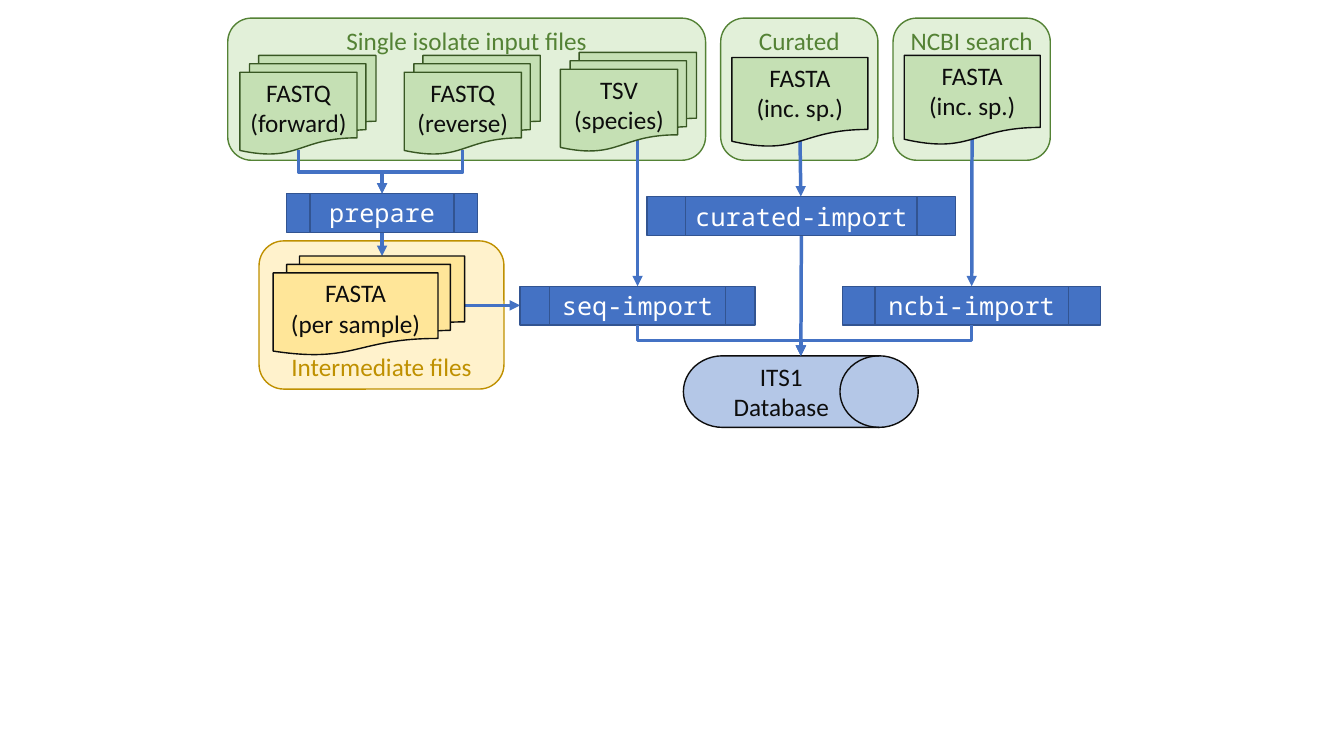
"""Draw the flow from input files through import commands to the ITS1 database."""
from dataclasses import dataclass

from lxml import etree
from pptx import Presentation
from pptx.dml.color import RGBColor
from pptx.enum.shapes import MSO_CONNECTOR, MSO_SHAPE
from pptx.enum.text import MSO_ANCHOR, PP_ALIGN
from pptx.oxml.ns import qn
from pptx.shapes.connector import Connector
from pptx.slide import Slide
from pptx.util import Inches, Pt

PANEL = MSO_SHAPE.ROUNDED_RECTANGLE
STACK = MSO_SHAPE.FLOWCHART_MULTIDOCUMENT
DOCUMENT = MSO_SHAPE.FLOWCHART_DOCUMENT
PROCESS = MSO_SHAPE.FLOWCHART_PREDEFINED_PROCESS
DRUM = MSO_SHAPE.FLOWCHART_DIRECT_ACCESS_STORAGE
STRAIGHT, ELBOW = MSO_CONNECTOR.STRAIGHT, MSO_CONNECTOR.ELBOW
TOP, MIDDLE, BOTTOM = MSO_ANCHOR.TOP, MSO_ANCHOR.MIDDLE, MSO_ANCHOR.BOTTOM
CENTER = PP_ALIGN.CENTER

CELL = Inches(0.1)
COLUMNS, ROWS = 133.33, 75
FRONT_SHEET = 0.43
QUARTER_TURN, THREE_QUARTER_TURN = "5400000", "16200000"


@dataclass(frozen=True)
class Theme:
    """Colours, fonts and sizes."""
    flow: str = "4472C4"
    body: str = "Calibri"
    code: str = "Noto Sans Mono"
    text_size: float = 18
    outline: float = 1
    flow_width: float = 2.5


THEME = Theme()


@dataclass(frozen=True)
class Style:
    """Look shared by nodes of one role."""
    fill: str
    line: str
    ink: str
    font: str = THEME.body
    anchor: MSO_ANCHOR = TOP
    wrap: bool = True
    top_inset: float = 0.5
    bottom_inset: float = 0.5


INPUT_PANEL = Style("E2F0D9", "548235", "548235", top_inset=0)
WORK_PANEL = Style("FFF2CC", "BF9000", "BF9000", anchor=BOTTOM, bottom_inset=0)
INPUT_STACK = Style("C5E0B4", "385723", "0D0D0D")
INPUT_SHEET = Style("C5E0B4", "0D0D0D", "0D0D0D")
WORK_STACK = Style("FFE699", "0D0D0D", "0D0D0D")
COMMAND = Style(THEME.flow, "325491", "FFFFFF", THEME.code, MIDDLE, wrap=False)
STORE = Style("B4C7E7", "0D0D0D", "0D0D0D", anchor=MIDDLE)


@dataclass(frozen=True)
class Node:
    """A labelled shape placed in grid columns and rows."""
    label: str
    kind: MSO_SHAPE
    style: Style
    left: float
    top: float
    width: float
    height: float

    @property
    def center(self) -> float:
        """Column of the middle."""
        return self.left + self.width / 2

    @property
    def front(self) -> float:
        """Column of the middle of a stack's front sheet."""
        return self.left + self.width * FRONT_SHEET

    @property
    def right(self) -> float:
        """Column of the right edge."""
        return self.left + self.width

    @property
    def bottom(self) -> float:
        """Row of the lower edge."""
        return self.top + self.height


@dataclass(frozen=True)
class Flow:
    """An arrow between two grid points."""
    x1: float
    y1: float
    x2: float
    y2: float


def input_panel(label: str, left: float, width: float) -> Node:
    """Describe a green panel in the top band."""
    return Node(label, PANEL, INPUT_PANEL, left, 1.8, width, 14.1)


def input_stack(label: str, left: float, top: float) -> Node:
    """Describe a stack of input files."""
    return Node(label, STACK, INPUT_STACK, left, top, 13.5, 9.8)


def input_sheet(left: float, top: float) -> Node:
    """Describe a single FASTA file."""
    return Node("FASTA\n(inc. sp.)", DOCUMENT, INPUT_SHEET, left, top, 13.5, 8.9)


def command(label: str, left: float, top: float, width: float) -> Node:
    """Describe a command box."""
    return Node(label, PROCESS, COMMAND, left, top, width, 3.85)


def draw_node(slide: Slide, node: Node) -> None:
    """Draw one node with its label."""
    look = node.style
    box = (round(v * CELL) for v in (node.left, node.top, node.width, node.height))
    shape = slide.shapes.add_shape(node.kind, *box)
    shape.shadow.inherit = False
    shape.fill.solid()
    shape.fill.fore_color.rgb = RGBColor.from_string(look.fill)
    shape.line.color.rgb = RGBColor.from_string(look.line)
    shape.line.width = Pt(THEME.outline)
    frame = shape.text_frame
    frame.text = node.label
    frame.word_wrap = look.wrap
    frame.vertical_anchor = look.anchor
    frame.margin_top = round(look.top_inset * CELL)
    frame.margin_bottom = round(look.bottom_inset * CELL)
    for paragraph in frame.paragraphs:
        paragraph.alignment = CENTER
        paragraph.font.name = look.font
        paragraph.font.size = Pt(THEME.text_size)
        paragraph.font.color.rgb = RGBColor.from_string(look.ink)


def style_flow(connector: Connector) -> None:
    """Give a connector its colour, width and arrowhead."""
    connector.line.color.rgb = RGBColor.from_string(THEME.flow)
    connector.line.width = Pt(THEME.flow_width)
    etree.SubElement(connector.line._get_or_add_ln(), qn("a:tailEnd"), type="triangle")
    etree.SubElement(connector._element.spPr, qn("a:effectLst"))


def draw_straight(slide: Slide, flow: Flow) -> None:
    """Draw a straight arrow."""
    ends = (round(v * CELL) for v in (flow.x1, flow.y1, flow.x2, flow.y2))
    style_flow(slide.shapes.add_connector(STRAIGHT, *ends))


def draw_elbow(slide: Slide, flow: Flow) -> None:
    """Draw a bent arrow that leaves and arrives vertically."""
    x, y = (flow.x1 + flow.x2) / 2, (flow.y1 + flow.y2) / 2
    reach, drop = abs(flow.x2 - flow.x1) / 2, abs(flow.y2 - flow.y1) / 2
    ends = (round(v * CELL) for v in (x - drop, y - reach, x + drop, y + reach))
    connector = slide.shapes.add_connector(ELBOW, *ends)
    transform = connector._element.spPr.find(qn("a:xfrm"))
    if flow.x2 < flow.x1:
        transform.set("rot", QUARTER_TURN)
    else:
        transform.set("rot", THREE_QUARTER_TURN)
        transform.set("flipH", "1")
    style_flow(connector)


panels = [
    input_panel("NCBI search", 88.6, 15.6),
    input_panel("Curated", 71.5, 15.6),
    input_panel("Single isolate input files", 22.6, 47.4),
    Node("Intermediate files", PANEL, WORK_PANEL, 25.7, 23.9, 24.3, 14.7),
]
forward = input_stack("FASTQ\n(forward)", 23.8, 5.5)
reverse = input_stack("FASTQ\n(reverse)", 40.1, 5.5)
species = input_stack("TSV (species)", 55.6, 5.2)
curated = input_sheet(72.6, 5.7)
searched = input_sheet(89.7, 5.5)
prepare = command("prepare", 28.4, 19.2, 19)
curated_import = command("curated-import", 64.2, 19.5, 30.6)
seq_import = command("seq-import", 51.6, 28.4, 23.3)
ncbi_import = command("ncbi-import", 83.6, 28.4, 25.6)
samples = Node("FASTA\n(per sample)", STACK, WORK_STACK, 27.1, 25.4, 19, 9.8)
database = Node("ITS1 Database", DRUM, STORE, 67.8, 35.3, 23.3, 7.1)
nodes = [forward, reverse, species, curated, searched, prepare, curated_import,
         seq_import, ncbi_import, samples, database]

straight_flows = [
    Flow(seq_import.center, species.top, seq_import.center, seq_import.top),
    Flow(searched.center, searched.top, ncbi_import.center, ncbi_import.top),
    Flow(curated.center - 0.1, curated.top, database.center, curated_import.top),
    Flow(curated_import.center, curated_import.bottom, database.center, database.top),
    Flow(prepare.center, prepare.bottom, prepare.center, samples.top),
    Flow(samples.right, 30.3, seq_import.left, 30.3),
]
elbow_flows = [Flow(stack.front, 14.9, prepare.center, prepare.top)
               for stack in (reverse, forward)]
elbow_flows += [Flow(step.center, step.bottom, database.center, database.top)
                for step in (ncbi_import, seq_import)]

deck = Presentation()
deck.slide_width, deck.slide_height = round(COLUMNS * CELL), ROWS * CELL
page = deck.slides.add_slide(deck.slide_layouts[6])
for part in panels:
    draw_node(page, part)
for arrow in straight_flows:
    draw_straight(page, arrow)
for part in nodes:
    draw_node(page, part)
for arrow in elbow_flows:
    draw_elbow(page, arrow)
deck.save("out.pptx")
